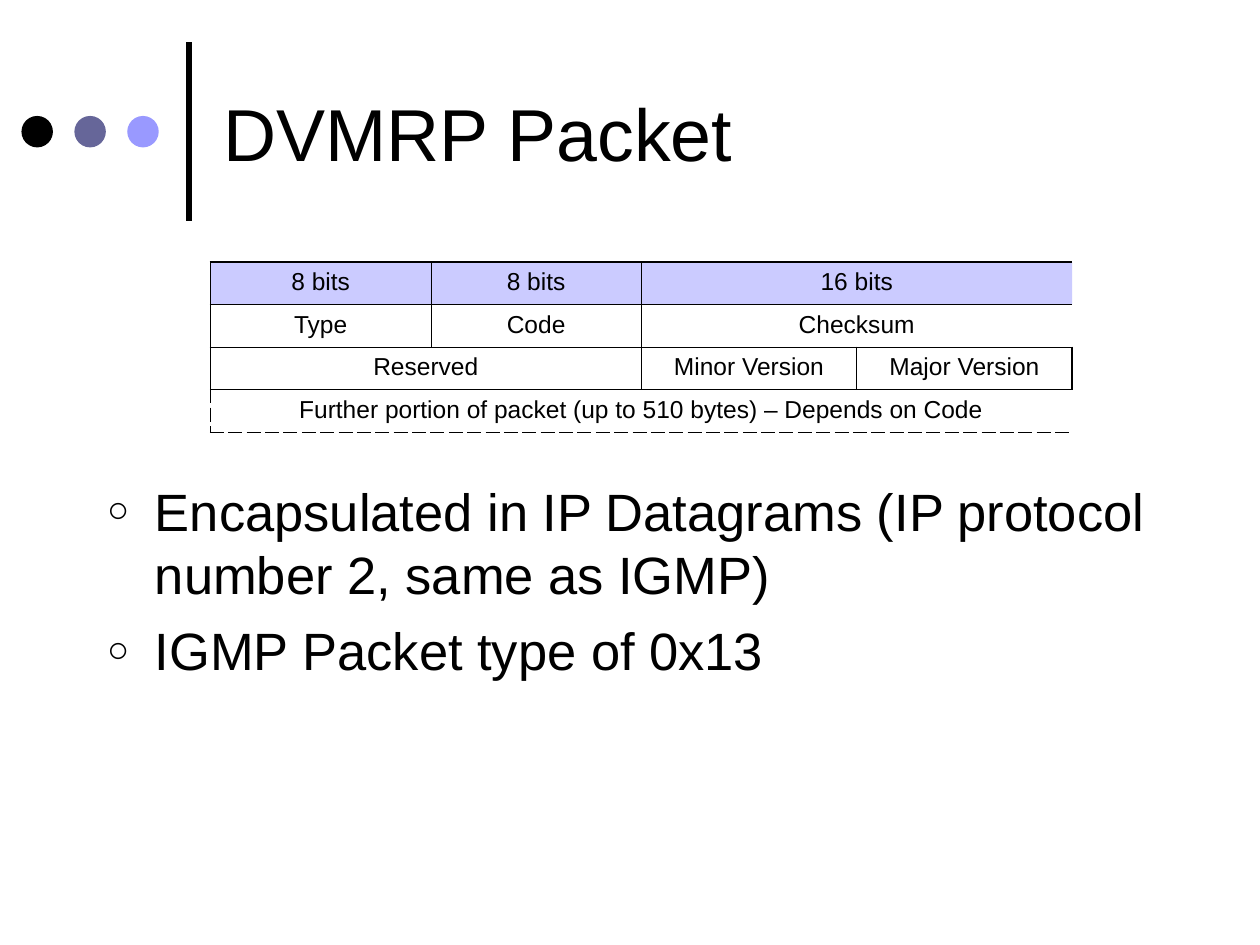
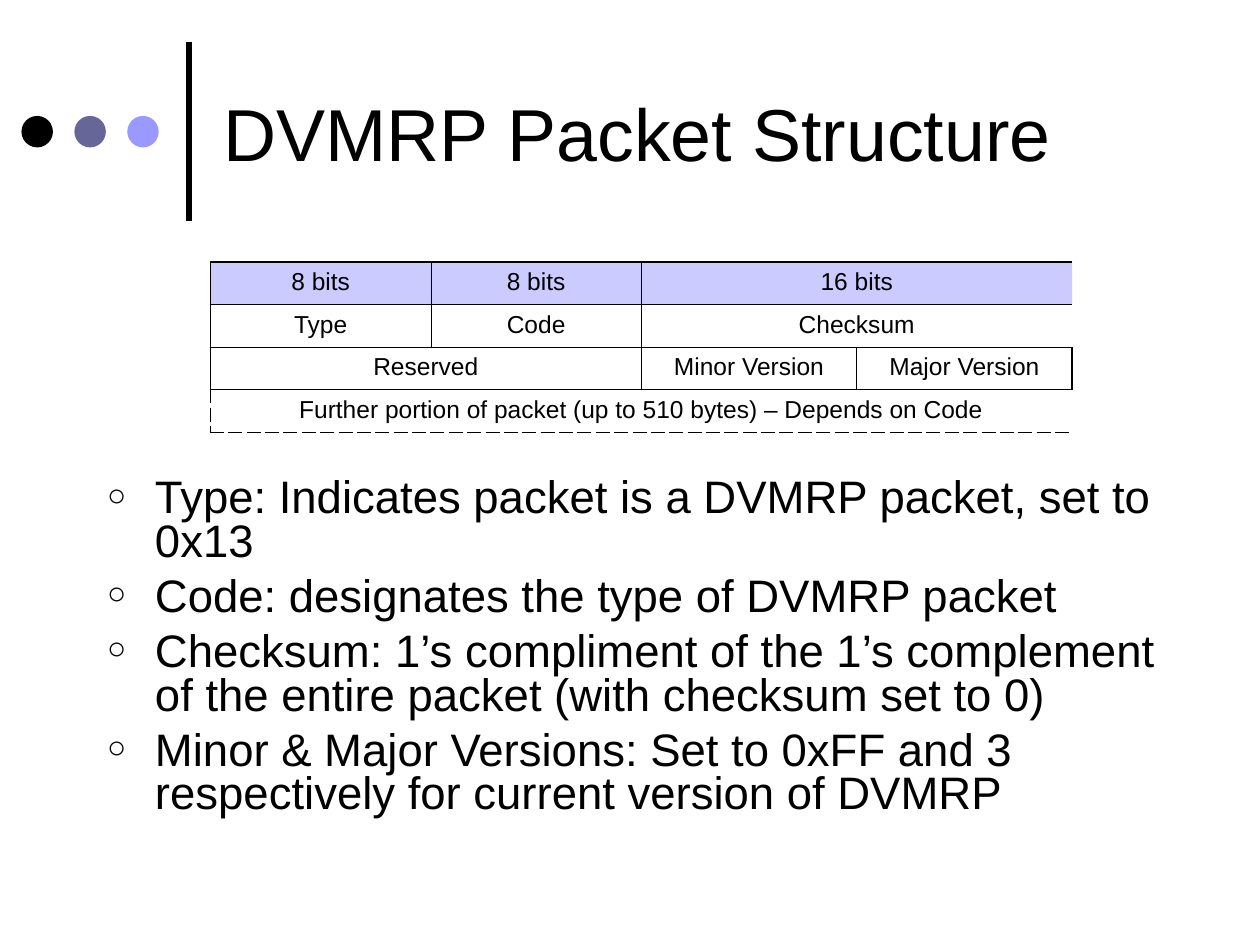
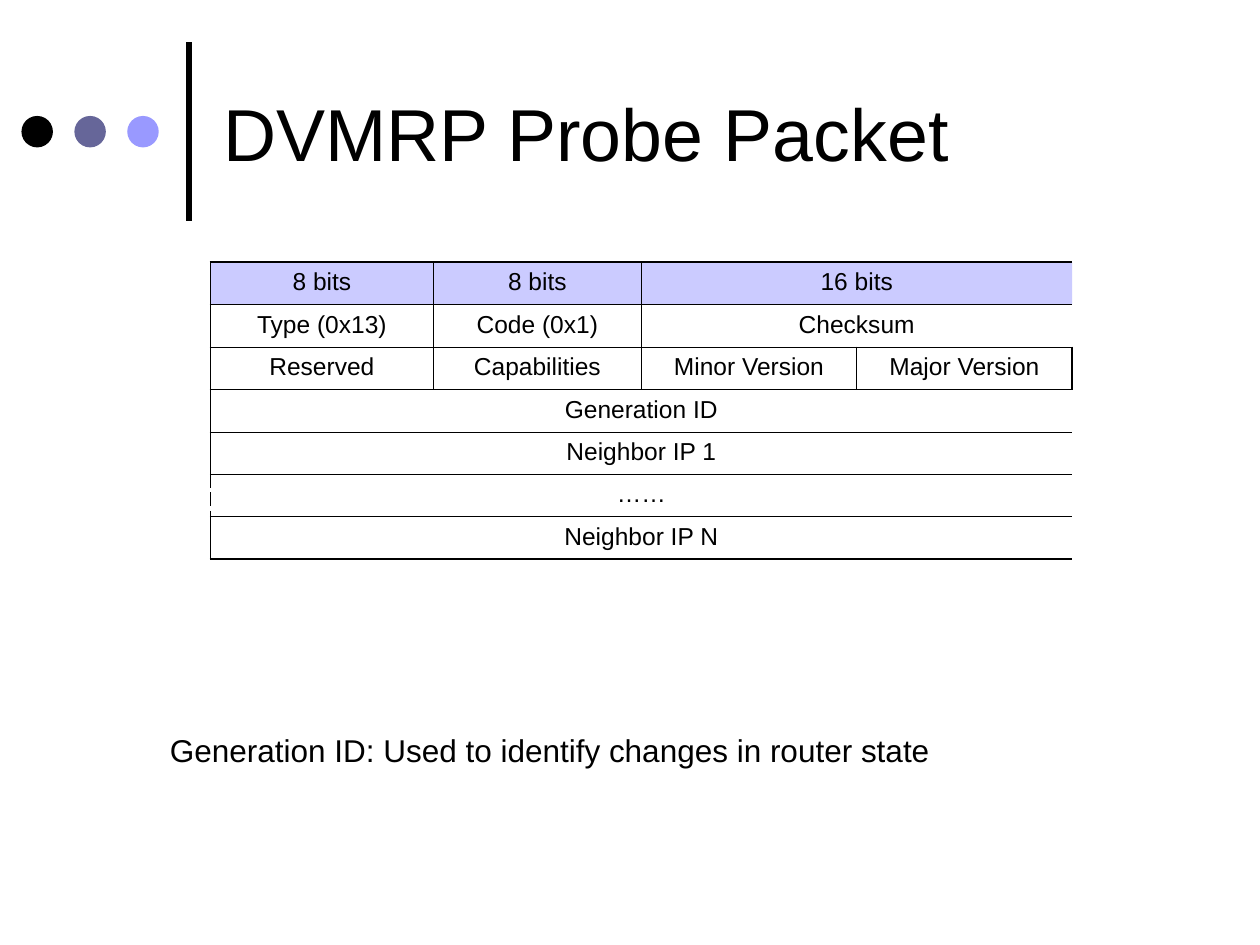
from dataclasses import dataclass

from lxml.etree import SubElement
from pptx import Presentation
from pptx.dml.color import RGBColor
from pptx.enum.shapes import MSO_CONNECTOR, MSO_SHAPE
from pptx.enum.text import MSO_ANCHOR, MSO_AUTO_SIZE, PP_ALIGN
from pptx.oxml.ns import qn
from pptx.util import Inches, Pt


@dataclass(frozen=True)
class Theme:
    font: str = "Arial"
    ink: str = "000000"
    slate: str = "666699"
    lilac: str = "9999FF"
    title: int = 42
    note: int = 18
    cell: int = 14
    outer: float = 1.08
    inner: float = 0.45
    dashed: float = 0.75


T = Theme()
NO_TABLE_STYLE = "{2D5ABB26-0587-4C30-8999-92F81FD0307C}"


def write(tf, *lines, size, align=PP_ALIGN.LEFT, anchor=MSO_ANCHOR.TOP,
          bullet=None, spacing=None, gap=0):
    tf.word_wrap = True
    tf.auto_size = MSO_AUTO_SIZE.NONE
    tf.vertical_anchor = anchor
    for i, line in enumerate(lines):
        p = tf.paragraphs[0] if i == 0 else tf.add_paragraph()
        p.alignment = align
        p.space_before = Pt(gap if i else 0)
        if spacing:
            p.line_spacing = spacing
        if bullet:
            pPr = p._p.get_or_add_pPr()
            pPr.set("marL", str(Inches(0.38)))
            pPr.set("indent", str(-Inches(0.38)))
            SubElement(SubElement(pPr, qn("a:buClr")), qn("a:srgbClr"), val=T.ink)
            SubElement(pPr, qn("a:buSzPct"), val="70000")
            SubElement(pPr, qn("a:buFont"), typeface=T.font)
            SubElement(pPr, qn("a:buChar"), char=bullet)
        r = p.add_run()
        r.text = line
        r.font.name = T.font
        r.font.size = Pt(size)
        r.font.color.rgb = RGBColor.from_string(T.ink)


def set_border(cell, side, width, dash="solid"):
    ln = SubElement(cell._tc.get_or_add_tcPr(), qn("a:ln" + side), w=str(Pt(width)))
    SubElement(SubElement(ln, qn("a:solidFill")), qn("a:srgbClr"), val=T.ink)
    SubElement(ln, qn("a:prstDash"), val=dash)


# Each row lists its fields as (label, columns spanned).
bits = [("8 bits", 1), ("8 bits", 1), ("16 bits", 2)]
versions = [("Minor Version", 1), ("Major Version", 1)]
general = dict(
    cols=[1.75, 1.67, 1.71, 1.71], height=1.35, dashed_row=3,
    rows=[
        bits,
        [("Type", 1), ("Code", 1), ("Checksum", 2)],
        [("Reserved", 2), *versions],
        [("Further portion of packet (up to 510 bytes) – Depends on Code", 4)],
    ])
probe = dict(
    cols=[1.77, 1.65, 1.71, 1.71], height=2.36, dashed_row=5,
    rows=[
        bits,
        [("Type (0x13)", 1), ("Code (0x1)", 1), ("Checksum", 2)],
        [("Reserved", 1), ("Capabilities", 1), *versions],
        [("Generation ID", 4)],
        [("Neighbor IP 1", 4)],
        [("……", 4)],
        [("Neighbor IP N", 4)],
    ])

slides = [
    dict(title="DVMRP Packet", packet=general,
         format=dict(size=30, gap=7.5),
         bullets=["Encapsulated in IP Datagrams (IP protocol number 2, same as IGMP)",
                  "IGMP Packet type of 0x13"]),
    dict(title="DVMRP Packet Structure", packet=general,
         format=dict(size=26, gap=6.5, spacing=0.8),
         bullets=["Type: Indicates packet is a DVMRP packet, set to 0x13",
                  "Code: designates the type of DVMRP packet",
                  "Checksum: 1’s compliment of the 1’s complement of the entire packet "
                  "(with checksum set to 0)",
                  "Minor & Major Versions: Set to 0xFF and 3 respectively for current "
                  "version of DVMRP"]),
    dict(title="DVMRP Probe Packet", packet=probe,
         note="Generation ID: Used to identify changes in router state"),
]

prs = Presentation()
prs.slide_width, prs.slide_height = Inches(10), Inches(7.5)
TITLE_AND_BODY, TITLE_ONLY = prs.slide_layouts[1], prs.slide_layouts[5]

for content in slides:
    s = prs.slides.add_slide(TITLE_AND_BODY if "bullets" in content else TITLE_ONLY)

    # Title with its rule and three dots
    rule = s.shapes.add_connector(MSO_CONNECTOR.STRAIGHT, Inches(1.5), Inches(1.75),
                                  Inches(1.5), Inches(0.33))
    rule.line.width = Pt(3)
    rule.line.color.rgb = RGBColor.from_string(T.ink)
    SubElement(rule._element.spPr, qn("a:effectLst"))
    for i, color in enumerate([T.ink, T.slate, T.lilac]):
        dot = s.shapes.add_shape(MSO_SHAPE.OVAL, Inches(0.17 + 0.42 * i), Inches(0.92),
                                 Inches(0.25), Inches(0.25))
        dot.shadow.inherit = False
        dot.fill.solid()
        dot.fill.fore_color.rgb = RGBColor.from_string(color)
        dot.line.fill.background()
    title = s.shapes.title
    title.left, title.top = Inches(1.67), Inches(0.21)
    title.width, title.height = Inches(7.67), Inches(1.67)
    write(title.text_frame, content["title"], size=T.title, anchor=MSO_ANCHOR.MIDDLE)

    # Bullets or note
    if "bullets" in content:
        body = s.placeholders[1]
        body.left, body.top = Inches(0.75), Inches(3.75)
        body.width, body.height = Inches(8.58), Inches(2.83)
        write(body.text_frame, *content["bullets"], bullet="○", **content["format"])
    else:
        note = s.shapes.add_textbox(Inches(1.25), Inches(5.75), Inches(7.75), Inches(0.4))
        write(note.text_frame, content["note"], size=T.note)

    # Packet layout
    packet = content["packet"]
    rows, cols = packet["rows"], packet["cols"]
    table = s.shapes.add_table(len(rows), len(cols), Inches(1.67), Inches(2.08),
                               Inches(sum(cols)), Inches(packet["height"])).table
    table.first_row = table.horz_banding = False
    table._tbl.tblPr.find(qn("a:tableStyleId")).text = NO_TABLE_STYLE
    for column, width in zip(table.columns, cols):
        column.width = Inches(width)
    last_row, last_col = len(rows) - 1, len(cols) - 1
    for y, fields in enumerate(rows):
        edge = (T.dashed, "dash") if y == packet["dashed_row"] else (T.outer, "solid")
        start = 0
        for label, span in fields:
            end = start + span - 1
            field = table.cell(y, start)
            if span > 1:
                field.merge(table.cell(y, end))
            for x in range(start, end + 1):
                cell = table.cell(y, x)
                if x == start:
                    set_border(cell, "L", *(edge if x == 0 else (T.inner,)))
                if x == end:
                    set_border(cell, "R", *(edge if x == last_col else (T.inner,)))
                set_border(cell, "T", T.outer if y == 0 else T.inner)
                set_border(cell, "B", *(edge if y == last_row else (T.inner,)))
                if y == 0:
                    cell.fill.solid()
                    cell.fill.fore_color.rgb = RGBColor.from_string(T.lilac)
                    tint = cell._tc.tcPr.find(qn("a:solidFill"))[0]
                    SubElement(tint, qn("a:alpha"), val="50000")
                else:
                    cell.fill.background()
            field.margin_left = field.margin_right = Inches(0.05)
            field.margin_top = field.margin_bottom = Inches(0.05)
            write(field.text_frame, label, size=T.cell, align=PP_ALIGN.CENTER)
            start = end + 1

prs.save("out.pptx")
